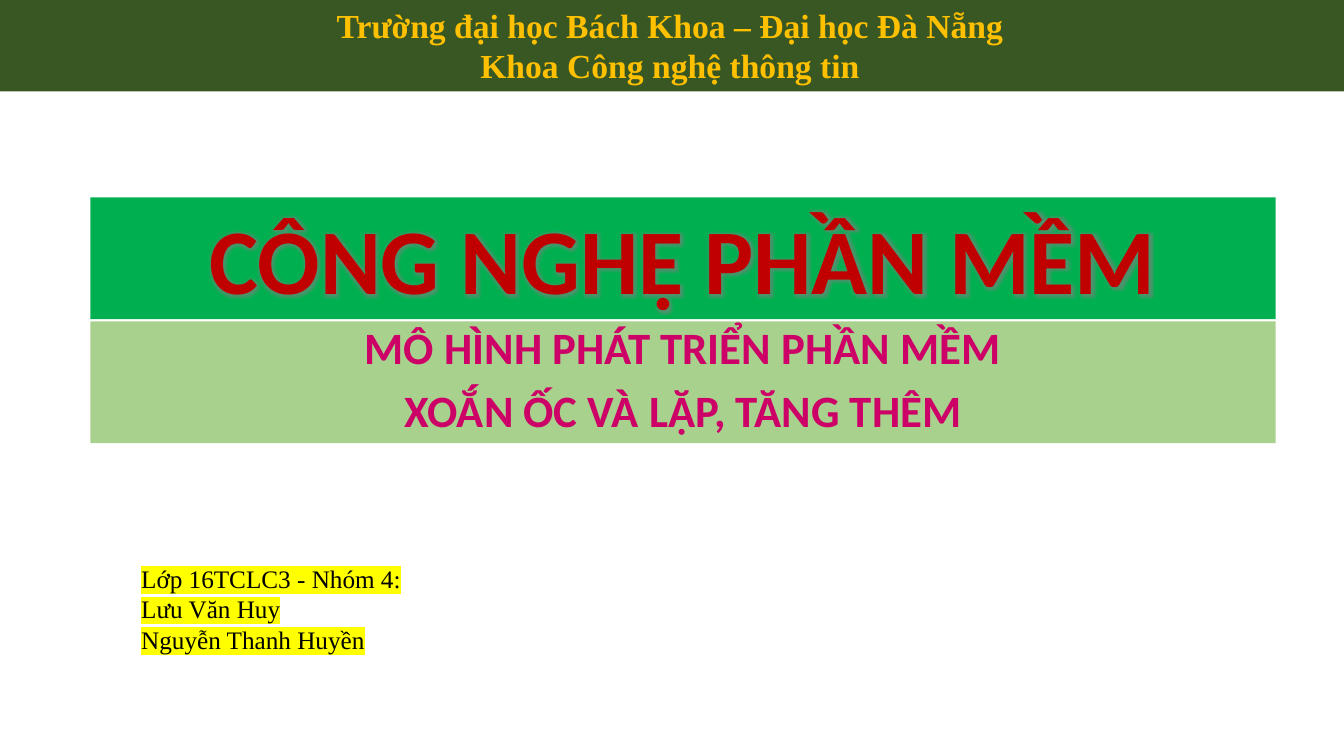
import lxml.etree
import pptx
import pptx.dml.color
import pptx.enum.shapes
import pptx.enum.text
import pptx.oxml
import pptx.oxml.ns
import pptx.util

PX = 9525
COLORS = {
    "header": "385723", "header_text": "FFC000",
    "title": "00B050", "title_text": "C00000",
    "title_outline": "F4B183", "title_glow": "7F7F7F",
    "subtitle": "A9D18E", "subtitle_text": "CC0066",
    "black": "000000", "highlight": "FFFF00",
}


def color(name):
    """Return the named colour."""
    return pptx.dml.color.RGBColor.from_string(COLORS[name])


def drawing_xml(tag, inner, attributes=""):
    """Build a DrawingML element."""
    return pptx.oxml.parse_xml(
        f'<a:{tag} {pptx.oxml.ns.nsdecls("a")} {attributes}>{inner}</a:{tag}>')


def write_lines(box, lines, font, size, ink, bold=False, centred=True):
    """Write one paragraph per line and return the text spans."""
    frame = box.text_frame
    frame.word_wrap = True
    frame.text = "\n".join(lines)
    spans = []
    for para in frame.paragraphs:
        para.alignment = (pptx.enum.text.PP_ALIGN.CENTER if centred
                          else pptx.enum.text.PP_ALIGN.LEFT)
        for span in para.runs:
            span.font.name = font
            span.font.size = pptx.util.Pt(size)
            span.font.bold = bold
            span.font.color.rgb = color(ink)
            spans.append(span)
    return spans


def add_band(page, bounds, fill):
    """Add a plain filled rectangle with its text at the top."""
    box = page.shapes.add_shape(
        pptx.enum.shapes.MSO_SHAPE.RECTANGLE, *[value * PX for value in bounds])
    box.shadow.inherit = False
    box.fill.solid()
    box.fill.fore_color.rgb = color(fill)
    box.line.fill.background()
    box.text_frame.vertical_anchor = pptx.enum.text.MSO_ANCHOR.TOP
    return box


def add_after_fill(span, element):
    """Place an element right after the fill of a span."""
    fill = span.font._element.find(pptx.oxml.ns.qn("a:solidFill"))
    fill.addnext(element)


def add_header(page):
    """Add the school and faculty band."""
    box = add_band(page, (-4, 0, 1284, 87), "header")
    write_lines(box, ["Trường đại học Bách Khoa – Đại học Đà Nẵng",
                      "Khoa Công nghệ thông tin"],
                "Times New Roman", 24, "header_text", bold=True)


def add_title(page):
    """Add the title band with outlined, glowing letters."""
    box = add_band(page, (86, 188, 1129, 116), "title")
    for span in write_lines(box, ["CÔNG NGHỆ PHẦN MỀM"], "Calibri", 66,
                            "title_text", bold=True):
        outline = f'<a:solidFill><a:srgbClr val="{COLORS["title_outline"]}"/></a:solidFill>'
        span.font._element.insert(0, drawing_xml("ln", outline, 'w="12700"'))
        glow = (f'<a:glow rad="63500"><a:srgbClr val="{COLORS["title_glow"]}">'
                '<a:alpha val="60000"/></a:srgbClr></a:glow>')
        add_after_fill(span, drawing_xml("effectLst", glow))


def add_subtitle(page):
    """Add the subtitle band."""
    box = add_band(page, (86, 306, 1129, 116), "subtitle")
    write_lines(box, ["MÔ HÌNH PHÁT TRIỂN PHẦN MỀM", "XOẮN ỐC VÀ LẶP, TĂNG THÊM"],
                "Calibri", 32, "subtitle_text", bold=True)
    for para in box.text_frame.paragraphs:
        para.line_spacing = 0.9
        para.space_before = pptx.util.Pt(10)


def add_members(page):
    """Add the highlighted class and member list."""
    box = page.shapes.add_textbox(*[value * PX for value in (125, 532, 320, 97)])
    for span in write_lines(box, ["Lớp 16TCLC3 - Nhóm 4:", "Lưu Văn Huy",
                                  "Nguyễn Thanh Huyền"],
                            "Times New Roman", 18, "black", centred=False):
        marker = f'<a:srgbClr val="{COLORS["highlight"]}"/>'
        add_after_fill(span, drawing_xml("highlight", marker))


def main():
    """Build and save the cover slide."""
    deck = pptx.Presentation()
    deck.slide_width, deck.slide_height = 1280 * PX, 720 * PX
    page = deck.slides.add_slide(deck.slide_layouts[6])
    add_subtitle(page)
    add_header(page)
    add_members(page)
    add_title(page)
    deck.save("out.pptx")


if __name__ == "__main__":
    main()
